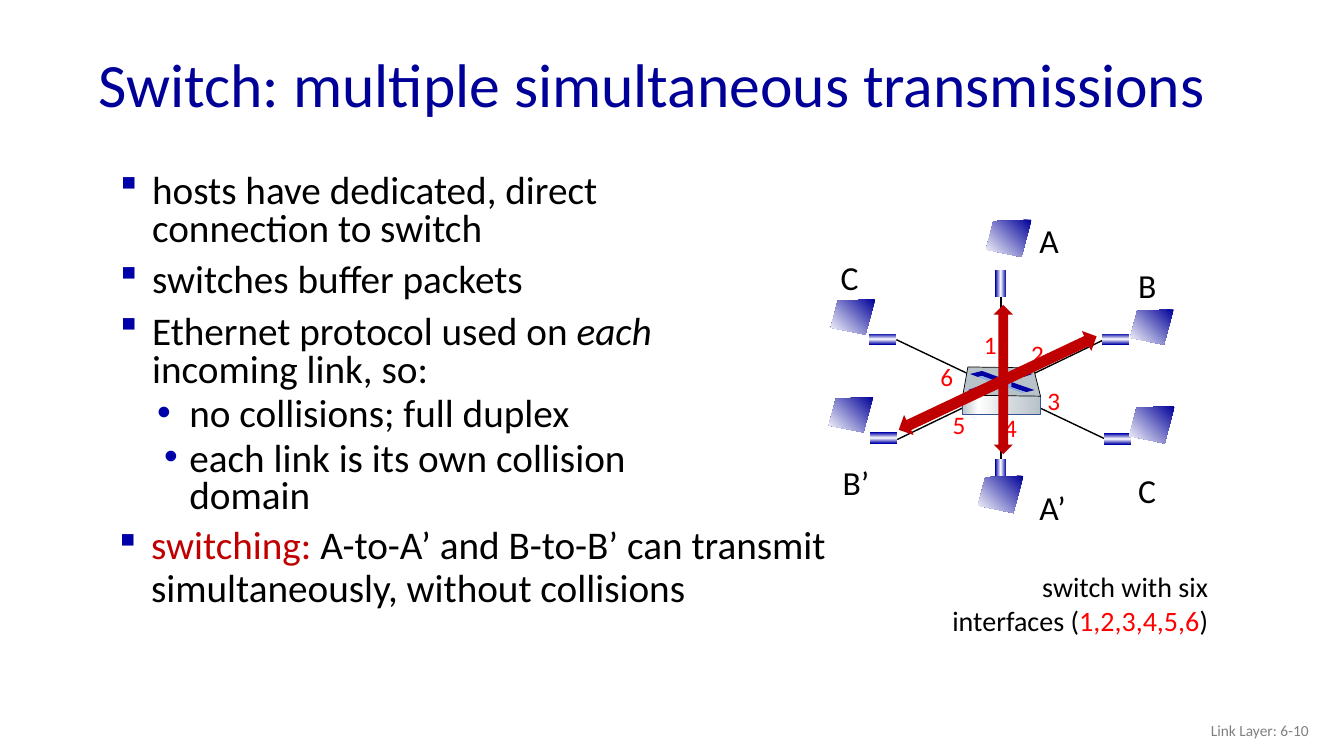
"""Builds a slide on simultaneous transmissions through a network switch."""
from lxml.etree import SubElement
from pptx import Presentation
from pptx.dml.color import RGBColor
from pptx.enum.shapes import MSO_CONNECTOR, MSO_SHAPE
from pptx.enum.text import MSO_ANCHOR, PP_ALIGN
from pptx.oxml.ns import qn
from pptx.util import Inches, Pt

NAVY, INK, BULLET, RED, CRIMSON = "000099", "000000", "0000A8", "FF0000", "C00000"
SCREEN_SHADE = [(0, NAVY), (100, "FFFFFF")]
TUBE_SHADE = [(0, BULLET), (50, "FFFFFF"), (99, BULLET)]
SWITCH_SHADE = [(0, "B8C2C9"), (21, "FFFFFF"), (60, "D6DCE0"), (100, "B8C2C9")]


def color(hex_string):
    return RGBColor.from_string(hex_string)


class Sketch:
    """Holds the slide and its font and draws each kind of element."""

    def __init__(self, slide, font="Calibri"):
        self.slide = slide
        self.font = font

    def text(self, box, paragraphs, size, wrap=True, anchor=MSO_ANCHOR.TOP,
             align=PP_ALIGN.LEFT, spacing=1.0):
        frame = self.slide.shapes.add_textbox(*map(Inches, box)).text_frame
        frame.word_wrap = wrap
        frame.vertical_anchor = anchor
        for index, (runs, bullet) in enumerate(paragraphs):
            paragraph = frame.paragraphs[0] if index == 0 else frame.add_paragraph()
            paragraph.alignment = align
            paragraph.line_spacing = spacing
            if bullet:
                self.bullet(paragraph, *bullet, first=index == 0)
            for words, tint, italic in runs:
                run = paragraph.add_run()
                run.text = words
                run.font.name = self.font
                run.font.size = Pt(size)
                run.font.italic = italic
                run.font.color.rgb = color(tint)

    def bullet(self, paragraph, mark, typeface, margin, indent, before, first):
        if not first:
            paragraph.space_before = Pt(before)
        properties = paragraph._p.get_or_add_pPr()
        properties.set("marL", str(Inches(margin)))
        properties.set("indent", str(Inches(indent)))
        tint = SubElement(properties, qn("a:buClr"))
        SubElement(tint, qn("a:srgbClr"), val=BULLET)
        SubElement(properties, qn("a:buFont"), typeface=typeface)
        SubElement(properties, qn("a:buChar"), char=mark)

    def label(self, left, top, width, words, size, tint=INK):
        self.text((left, top, width, 0.4), [([(words, tint, False)], None)], size, wrap=False)

    def paint(self, shape, fill, angle=0, line=None, width=0.5):
        shape.shadow.inherit = False
        if isinstance(fill, str):
            shape.fill.solid()
            shape.fill.fore_color.rgb = color(fill)
        else:
            shape.fill.gradient()
            shape.fill.gradient_angle = angle
            stops = shape.element.spPr.find(qn("a:gradFill")).find(qn("a:gsLst"))
            for stop in list(stops):
                stops.remove(stop)
            for percent, tint in fill:
                stop = SubElement(stops, qn("a:gs"), pos=str(percent * 1000))
                SubElement(stop, qn("a:srgbClr"), val=tint)
        if line:
            shape.line.color.rgb = color(line)
            shape.line.width = Pt(width)
        else:
            shape.line.fill.background()

    def preset(self, kind, box, fill, rotation=0, line=None):
        shape = self.slide.shapes.add_shape(kind, *map(Inches, box))
        shape.rotation = rotation
        self.paint(shape, fill, line=line)

    def outline(self, points, fill, angle=0, line=None):
        corners = [(Inches(x), Inches(y)) for x, y in points]
        builder = self.slide.shapes.build_freeform(*corners[0])
        builder.add_line_segments(corners[1:], close=True)
        self.paint(builder.convert_to_shape(), fill, angle, line)

    def screen(self, left, top, width, height):
        corners = [(1, 0), (0.16, 0.04), (0, 0.8), (0.78, 1)]
        self.outline([(left + x * width, top + y * height) for x, y in corners],
                     SCREEN_SHADE, angle=225)

    def tube(self, left, top, rotation):
        self.preset(MSO_SHAPE.RECTANGLE, (left, top, 0.11, 0.27), TUBE_SHADE, rotation)

    def cable(self, *ends):
        cable = self.slide.shapes.add_connector(MSO_CONNECTOR.STRAIGHT, *map(Inches, ends))
        cable.line.color.rgb = color(INK)
        cable.line.width = Pt(1)
        SubElement(cable.element.spPr, qn("a:effectLst"))


def draw_text(sketch):
    sketch.text((0.88, 0.38, 11.5, 0.98),
                [([("Switch: multiple simultaneous transmissions", NAVY, False)], None)],
                44, anchor=MSO_ANCHOR.MIDDLE, spacing=0.9)
    sketch.text((10.08, 7.05, 3, 0.4), [([("Link Layer: 6-10", "808080", False)], None)],
                11, anchor=MSO_ANCHOR.MIDDLE, align=PP_ALIGN.RIGHT)
    main = ("§", "Wingdings", 0.39, -0.32, 10)
    sketch.text((1.02, 1.68, 6.39, 3.76), [
        ([("hosts have dedicated, direct connection to switch", INK, False)], main),
        ([("switches buffer packets", INK, False)], main),
        ([("Ethernet protocol used on ", INK, False), ("each", INK, True),
          (" incoming link, so:", INK, False)], main),
        ([("no collisions; full duplex", INK, False)], ("•", "Arial", 0.76, -0.32, 5)),
        ([("each link is its own collision domain", INK, False)],
         ("•", "Arial", 0.76, -0.25, 5)),
    ], 28, spacing=0.8)
    sketch.text((1.01, 5.17, 7.35, 1.63), [
        ([("switching: ", CRIMSON, False),
          ("A-to-A’ and B-to-B’ can transmit simultaneously, without collisions", INK, False)],
         main)], 28, spacing=0.9)
    sketch.text((9.13, 5.6, 2.95, 0.77), [
        ([("switch with six interfaces (", INK, False), ("1,2,3,4,5,6", RED, False),
          (")", INK, False)], None)], 20, align=PP_ALIGN.RIGHT)


def draw_hosts(sketch):
    for left, top, width, host in [
            (10.21, 2.13, 0.4, "A"), (10.21, 4.78, 0.5, "A’"), (11.19, 2.58, 0.38, "B"),
            (8.26, 4.53, 0.5, "B’"), (11.19, 4.61, 0.38, "C"), (8.24, 2.5, 0.44, "C’")]:
        sketch.label(left, top, width, host, 24)
    ports = [(9.66, 3.22), (10.13, 3.31), (10.29, 3.77), (9.86, 4.04), (9.35, 4.01), (9.23, 3.54)]
    for number, (left, top) in enumerate(ports, 1):
        sketch.label(left, top, 0.34, str(number), 18, RED)
    for ends in [(9.93, 2.85, 9.93, 4.66), (8.89, 3.37, 10.95, 4.35), (8.9, 4.36, 10.95, 3.37)]:
        sketch.cable(*ends)
    for left, top, rotation in [(8.7, 3.23, 90), (8.71, 4.21, 90), (11.01, 3.23, 90),
                                (11.03, 4.22, 90), (9.87, 2.68, 180), (9.87, 4.55, 180)]:
        sketch.tube(left, top, rotation)
    for box in [(8.24, 2.97, 0.44, 0.35), (8.22, 3.94, 0.44, 0.35), (11.21, 3.07, 0.43, 0.35),
                (11.2, 4.03, 0.45, 0.37), (9.7, 4.72, 0.45, 0.37), (9.78, 2.18, 0.45, 0.37)]:
        sketch.screen(*box)


def draw_switch(sketch):
    sketch.preset(MSO_SHAPE.RECTANGLE, (9.54, 3.92, 0.78, 0.19), SWITCH_SHADE, line="325491")
    sketch.outline([(9.55, 3.92), (9.6, 3.64), (10.25, 3.65), (10.32, 3.93)], "B8C2C9", line=INK)
    sketch.outline([(10.12, 3.68), (10.24, 3.71), (10.15, 3.74), (10.13, 3.73), (9.92, 3.8),
                    (9.74, 3.73), (9.7, 3.74), (9.62, 3.71), (9.74, 3.68), (9.93, 3.75)], "0000A3")
    sketch.outline([(10.03, 3.79), (10.26, 3.87), (10.18, 3.89), (10.02, 3.84)], "0000A3")
    sketch.outline([(9.83, 3.79), (9.83, 3.84), (9.68, 3.89), (9.6, 3.87)], BULLET)
    sketch.outline([(9.7, 3.74), (9.74, 3.73), (9.93, 3.8), (10.13, 3.73), (10.15, 3.74),
                    (10.03, 3.79), (10.03, 3.84), (10.17, 3.89), (10.14, 3.9), (9.93, 3.82),
                    (9.71, 3.9), (9.68, 3.89), (9.83, 3.84), (9.83, 3.79)], "8FAADC")
    for box, rotation in [((9.21, 3.67, 1.48, 0.19), 90), ((8.81, 3.69, 2.17, 0.22), 154.7)]:
        sketch.preset(MSO_SHAPE.LEFT_RIGHT_ARROW, box, CRIMSON, rotation)


def main():
    deck = Presentation()
    deck.slide_width, deck.slide_height = Inches(13.33), Inches(7.5)
    sketch = Sketch(deck.slides.add_slide(deck.slide_layouts[6]))
    draw_text(sketch)
    draw_hosts(sketch)
    draw_switch(sketch)
    deck.save("out.pptx")


if __name__ == "__main__":
    main()
